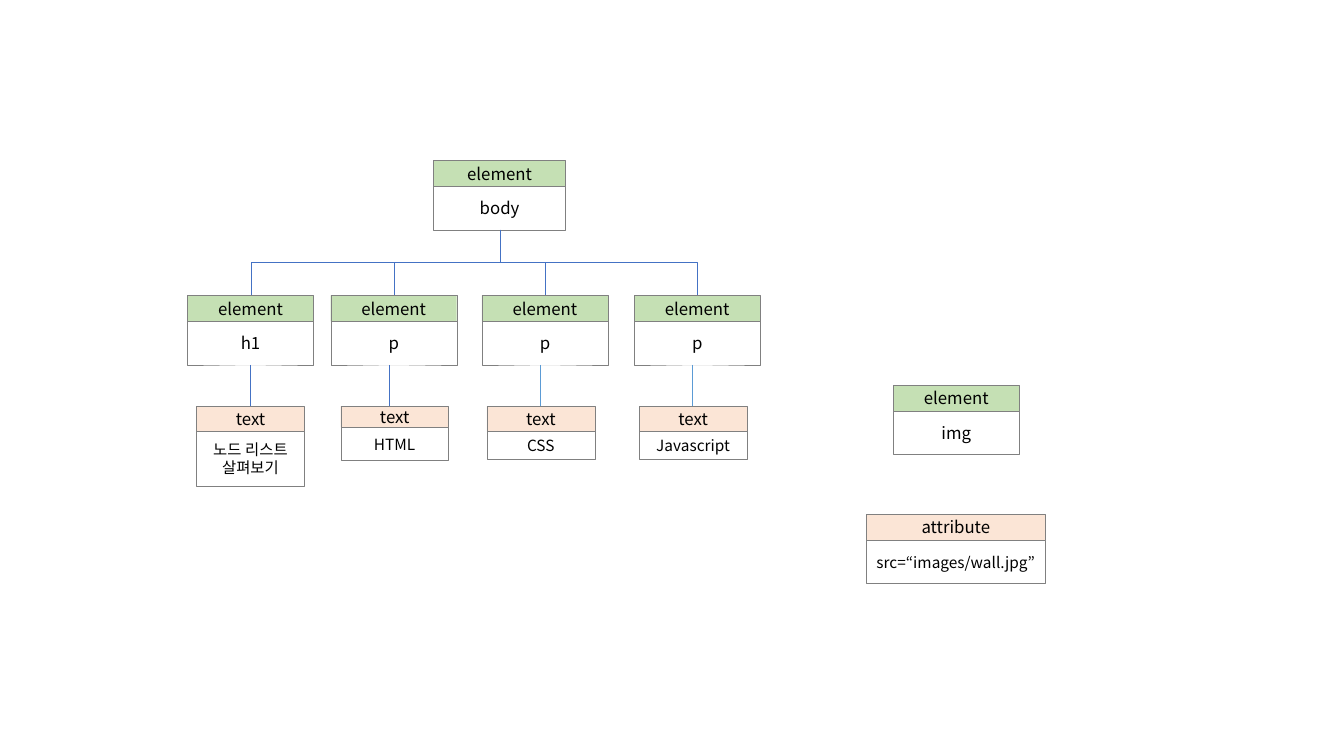
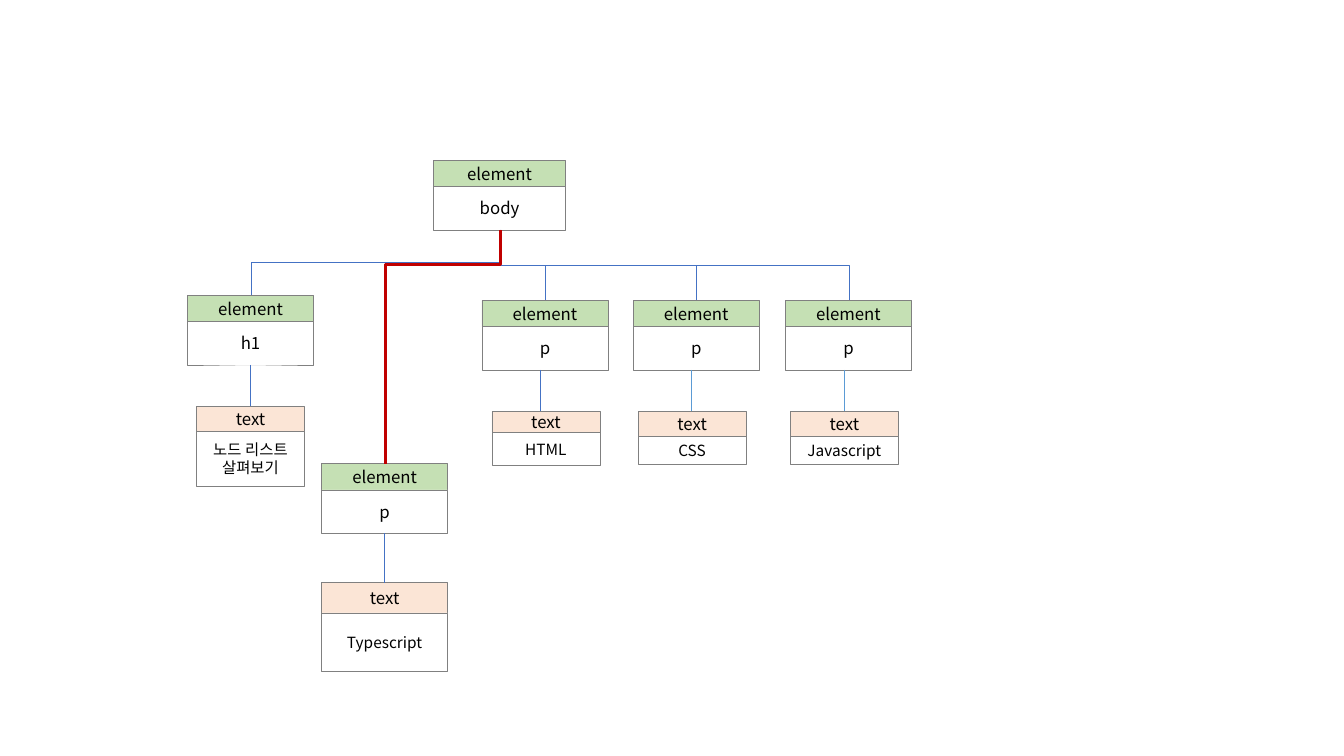
"""Build two slides that show how a DOM tree changes when a node is inserted."""
from dataclasses import dataclass

import lxml.etree
import pptx
import pptx.dml.color
import pptx.enum.shapes
import pptx.enum.text
import pptx.oxml.ns
import pptx.util

EMU_PER_PX = 9144
FONT = "Noto Sans CJK KR"
COLORS = {
    "element": "C5E0B4",
    "text": "FBE5D6",
    "attribute": "FBE5D6",
    "paper": "FFFFFF",
    "border": "808080",
    "ink": "000000",
    "blue": "4472C4",
    "sky": "5B9BD5",
    "red": "C00000",
}
BODY_SIZES = {"element": 12, "text": 11, "attribute": 11}


@dataclass(frozen=True)
class Node:
    kind: str
    label: str
    left: int
    top: int
    width: int = 125
    head_height: int = 26
    label_height: int = 43

    @property
    def center(self) -> int:
        return self.left + (self.width + 1) // 2

    @property
    def bottom(self) -> int:
        return self.top + self.head_height + self.label_height


@dataclass(frozen=True)
class Branch:
    element: Node
    leaf: Node
    drop_offset: int = 58
    drop_color: str = "sky"
    link_color: str = "blue"
    link_weight: float = 0.5
    bend: float = 0.5


def text_node(label: str, left: int, top: int, head_height: int = 25,
              label_height: int = 28) -> Node:
    return Node("text", label, left, top, 107, head_height, label_height)


def paragraph_branches(first_left: int, top: int) -> list[Branch]:
    leaf_top = top + 110
    lefts = [first_left + 150 * i + i // 2 for i in range(3)]
    leaves = [
        text_node("HTML", lefts[0] + 10, leaf_top, 21, 33),
        text_node("CSS", lefts[1] + 5, leaf_top),
        text_node("Javascript", lefts[2] + 5, leaf_top),
    ]
    drops = ["blue", "sky", "sky"]
    return [Branch(Node("element", "p", left, top), leaf, drop_color=color)
            for left, leaf, color in zip(lefts, leaves, drops)]


ROOT = Node("element", "body", 430, 159, 131)
HEADING = Branch(
    Node("element", "h1", 186, 293),
    text_node("노드 리스트 살펴보기", 195, 403, label_height=54),
    drop_offset=62, drop_color="blue",
)
INSERTED = Branch(
    Node("element", "p", 319, 460),
    Node("text", "Typescript", 319, 578, head_height=30, label_height=58),
    drop_offset=62, drop_color="blue",
    link_color="red", link_weight=2.25, bend=0.147,
)
LOOSE_NODES = [
    Node("element", "img", 886, 382),
    Node("attribute", "src=“images/wall.jpg”", 859, 510, 178),
]


def px(length: float) -> pptx.util.Emu:
    return pptx.util.Emu(round(length * EMU_PER_PX))


def rgb(name: str) -> pptx.dml.color.RGBColor:
    return pptx.dml.color.RGBColor.from_string(COLORS[name])


def write_text(box, text: str, *, size: int, color: str = "ink") -> None:
    frame = box.text_frame
    frame.word_wrap = True
    frame.vertical_anchor = pptx.enum.text.MSO_ANCHOR.MIDDLE
    frame.margin_left = frame.margin_right = px(5)
    frame.margin_top = frame.margin_bottom = 0
    para = frame.paragraphs[0]
    para.alignment = pptx.enum.text.PP_ALIGN.CENTER
    span = para.add_run()
    span.text = text
    span.font.size = pptx.util.Pt(size)
    span.font.color.rgb = rgb(color)
    span.font.name = FONT
    properties = span._r.get_or_add_rPr()
    lxml.etree.SubElement(properties, pptx.oxml.ns.qn("a:ea"), typeface=FONT)


def draw_box(page, left: int, top: int, width: int, height: int,
             fill: str, text: str, size: int) -> None:
    box = page.shapes.add_shape(pptx.enum.shapes.MSO_SHAPE.RECTANGLE,
                                px(left), px(top), px(width), px(height))
    box.shadow.inherit = False
    box.fill.solid()
    box.fill.fore_color.rgb = rgb(fill)
    box.line.color.rgb = rgb("border")
    box.line.width = pptx.util.Pt(0.25)
    write_text(box, text, size=size)


def draw_node(page, node: Node) -> None:
    draw_box(page, node.left, node.top, node.width, node.head_height,
             node.kind, node.kind, 12)
    draw_box(page, node.left, node.top + node.head_height, node.width,
             node.label_height, "paper", node.label, BODY_SIZES[node.kind])


def add_line(page, kind, start: tuple[float, float], end: tuple[float, float],
             color: str, weight: float):
    line = page.shapes.add_connector(kind, px(start[0]), px(start[1]),
                                     px(end[0]), px(end[1]))
    line.line.color.rgb = rgb(color)
    line.line.width = pptx.util.Pt(weight)
    lxml.etree.SubElement(line.element.spPr, pptx.oxml.ns.qn("a:effectLst"))
    return line


def draw_link(page, parent: Node, branch: Branch) -> None:
    child = branch.element
    run = child.center - parent.center
    drop = child.top - parent.bottom
    middle_x = (child.center + parent.center) / 2
    middle_y = (child.top + parent.bottom) / 2
    near, far = middle_x - drop / 2, middle_x + drop / 2
    start_x, end_x, angle = (near, far, 90) if run < 0 else (far, near, 270)
    line = add_line(page, pptx.enum.shapes.MSO_CONNECTOR.ELBOW,
                    (start_x, middle_y - abs(run) / 2),
                    (end_x, middle_y + abs(run) / 2),
                    branch.link_color, branch.link_weight)
    properties = line.element.spPr
    properties.find(pptx.oxml.ns.qn("a:xfrm")).set("rot", str(angle * 60000))
    geometry = properties.find(pptx.oxml.ns.qn("a:prstGeom"))
    adjustments = geometry.find(pptx.oxml.ns.qn("a:avLst"))
    if adjustments is None:
        adjustments = lxml.etree.SubElement(geometry, pptx.oxml.ns.qn("a:avLst"))
    lxml.etree.SubElement(adjustments, pptx.oxml.ns.qn("a:gd"), name="adj1",
                          fmla=f"val {round(branch.bend * 100000)}")


def draw_branch(page, parent: Node, branch: Branch) -> None:
    draw_node(page, branch.element)
    draw_node(page, branch.leaf)
    drop_x = branch.element.left + branch.drop_offset
    add_line(page, pptx.enum.shapes.MSO_CONNECTOR.STRAIGHT,
             (drop_x, branch.element.bottom), (drop_x, branch.leaf.top),
             branch.drop_color, 0.5)
    draw_link(page, parent, branch)


def draw_tree(deck, branches: list[Branch], loose_nodes: list[Node]) -> None:
    page = deck.slides.add_slide(deck.slide_layouts[6])
    draw_node(page, ROOT)
    for branch in branches:
        draw_branch(page, ROOT, branch)
    for node in loose_nodes:
        draw_node(page, node)


def main() -> None:
    deck = pptx.Presentation()
    deck.slide_width, deck.slide_height = px(1333), px(750)
    draw_tree(deck, [HEADING, *paragraph_branches(328, 293)], LOOSE_NODES)
    draw_tree(deck, [HEADING, *paragraph_branches(478, 298), INSERTED], [])
    deck.save("out.pptx")


if __name__ == "__main__":
    main()
